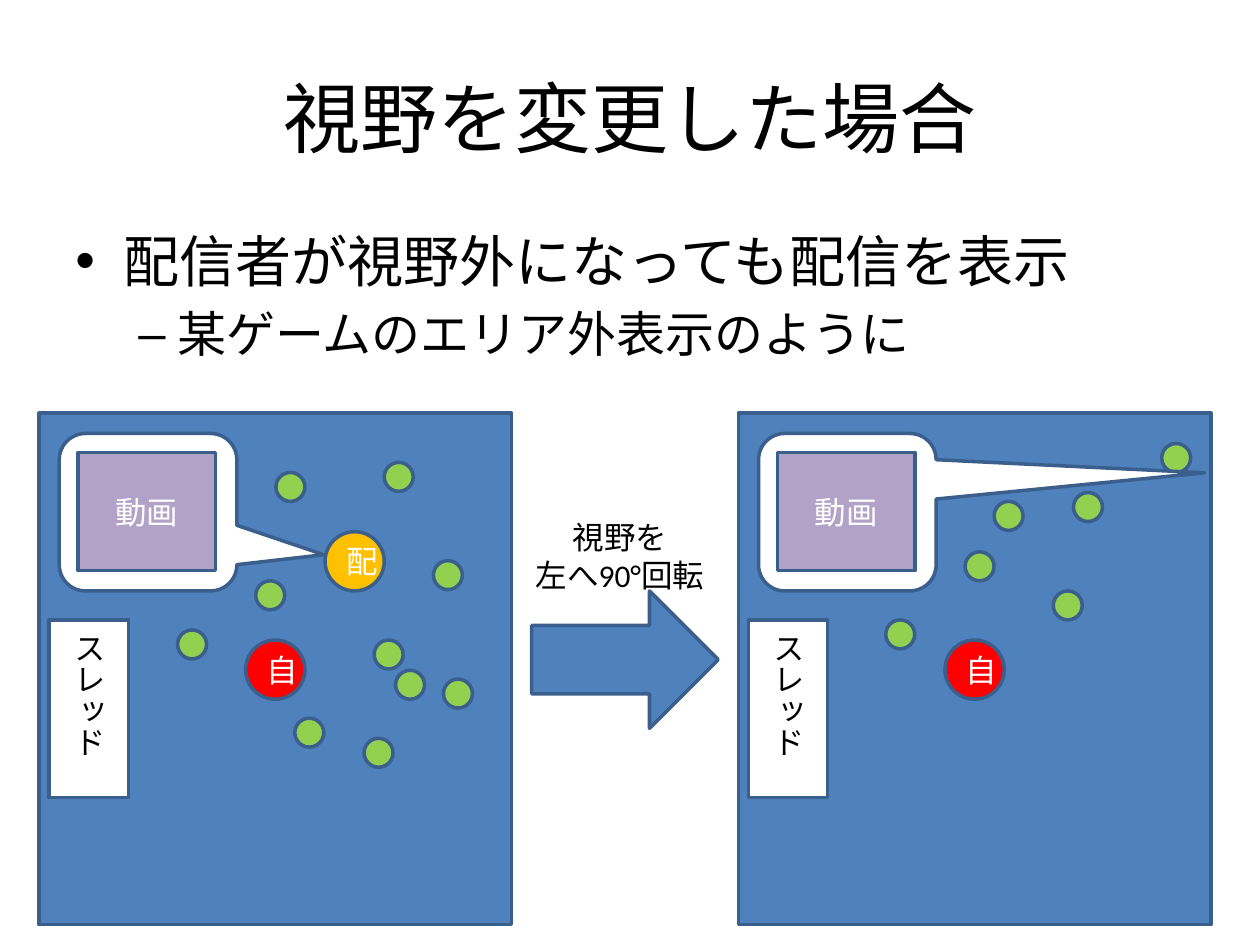
from dataclasses import dataclass

from lxml import etree
from pptx import Presentation
from pptx.dml.color import RGBColor
from pptx.enum.shapes import MSO_SHAPE
from pptx.enum.text import MSO_ANCHOR, PP_ALIGN
from pptx.oxml.ns import qn
from pptx.util import Inches, Pt

RECT, OVAL = MSO_SHAPE.RECTANGLE, MSO_SHAPE.OVAL
BUBBLE, ARROW = MSO_SHAPE.ROUNDED_RECTANGULAR_CALLOUT, MSO_SHAPE.RIGHT_ARROW
CENTER, MIDDLE = PP_ALIGN.CENTER, MSO_ANCHOR.MIDDLE


@dataclass(frozen=True)
class Theme:
    face: str = "Calibri"
    black: str = "000000"
    white: str = "FFFFFF"
    blue: str = "4F81BD"
    edge: str = "3A5F8C"
    red: str = "FF0000"
    amber: str = "FFC000"
    green: str = "92D050"
    purple: str = "B3A2C7"
    title: int = 44
    levels: tuple = (32, 28)
    label: int = 18
    line: int = 2


THEME = Theme()
AVATAR, DOT = 0.47, 0.23

# Dot positions inside each view
LEFT_DOTS = [(2.66, 1.8), (3.21, 2.11), (2.58, 2.58), (1.72, 1.33),
             (2.74, 0.39), (3.13, 1.17), (1.88, 0.47), (2.83, 2.04),
             (2.03, 2.42), (1.1, 1.72)]
RIGHT_DOTS = [(1.17, 1.64), (1.8, 1.1), (2.03, 0.7), (2.66, 0.63),
              (2.5, 1.41), (3.36, 0.24)]


def style(para, size, color):
    font = para.font
    font.name, font.size = THEME.face, Pt(size)
    font.color.rgb = RGBColor.from_string(color)


def place(item, box):
    item.left, item.top, item.width, item.height = map(Inches, box)


def add_shape(slide, kind, box, fill, text="", color=THEME.white):
    shape = slide.shapes.add_shape(kind, *map(Inches, box))
    shape.shadow.inherit = False
    shape.fill.solid()
    shape.fill.fore_color.rgb = RGBColor.from_string(fill)
    shape.line.color.rgb = RGBColor.from_string(THEME.edge)
    shape.line.width = Pt(THEME.line)
    if text:
        frame = shape.text_frame
        frame.word_wrap = True
        frame.vertical_anchor = MIDDLE
        para = frame.paragraphs[0]
        para.text, para.alignment = text, CENTER
        style(para, THEME.label, color)
    return shape


def add_title(slide, box, text):
    title = slide.shapes.title
    place(title, box)
    title.text_frame.vertical_anchor = MIDDLE
    para = title.text_frame.paragraphs[0]
    para.text, para.alignment = text, CENTER
    style(para, THEME.title, THEME.black)


def add_list(slide, box, items):
    frame = slide.shapes.add_textbox(*map(Inches, box)).text_frame
    frame.word_wrap = True
    marks = [("•", 0.38, -0.38), ("–", 0.81, -0.31)]
    for i, (level, text) in enumerate(items):
        para = frame.add_paragraph() if i else frame.paragraphs[0]
        para.text, para.level = text, level
        mark, left, hang = marks[level]
        size = THEME.levels[level]
        props = para._p.get_or_add_pPr()
        props.set("marL", str(Inches(left)))
        props.set("indent", str(Inches(hang)))
        etree.SubElement(props, qn("a:buFont")).set("typeface", "Arial")
        etree.SubElement(props, qn("a:buChar")).set("char", mark)
        if i:
            para.space_before = Pt(size * 0.2)
        style(para, size, THEME.black)


def add_view(slide, box, dots, tip, host=None):
    left, top = box[:2]

    def spot(x, y, w, h):
        return left + x, top + y, w, h

    add_shape(slide, RECT, box, THEME.blue)
    # Viewer and other users
    add_shape(slide, OVAL, spot(1.64, 1.8, AVATAR, AVATAR), THEME.red, "自")
    for x, y in dots:
        add_shape(slide, OVAL, spot(x, y, DOT, DOT), THEME.green)
    # Thread panel with vertical text
    thread = add_shape(slide, RECT, spot(0.08, 1.64, 0.63, 1.41),
                       THEME.white, "スレッド", THEME.black)
    thread.text_frame._txBody.bodyPr.set("vert", "eaVert")
    # Video bubble pointing at the streamer
    bubble = add_shape(slide, BUBBLE, spot(0.16, 0.16, 1.41, 1.25), THEME.white)
    bubble.adjustments[0], bubble.adjustments[1] = tip
    add_shape(slide, RECT, spot(0.31, 0.31, 1.09, 0.94), THEME.purple, "動画")
    if host:
        add_shape(slide, OVAL, spot(*host, AVATAR, AVATAR), THEME.amber, "配")


def add_turn(slide, box, lines):
    left, top, width, _ = box
    add_shape(slide, ARROW, (left + 0.16, top + 0.63, 1.48, 1.09), THEME.blue)
    label = slide.shapes.add_textbox(*map(Inches, (left, top, width, 0.71)))
    frame = label.text_frame
    frame.word_wrap = False
    frame.text = "\n".join(lines)
    for para in frame.paragraphs:
        para.alignment = CENTER
        style(para, THEME.label, THEME.black)


def main():
    deck = Presentation()
    deck.slide_width, deck.slide_height = Inches(10), Inches(7.5)
    slide = deck.slides.add_slide(deck.slide_layouts.get_by_name("Title Only"))

    add_title(slide, (0.5, 0.3, 9, 1.25), "視野を変更した場合")
    add_list(slide, (0.5, 1.75, 9, 1.4), [
        (0, "配信者が視野外になっても配信を表示"),
        (1, "某ゲームのエリア外表示のように"),
    ])
    # Views before and after the turn
    add_view(slide, (0.31, 3.28, 3.75, 4.06), LEFT_DOTS, (0.99, 0.27),
             host=(2.27, 0.94))
    add_view(slide, (5.86, 3.28, 3.75, 4.06), RIGHT_DOTS, (2.01, -0.25))
    add_turn(slide, (4.06, 4.06, 1.72, 1.72), ["視野を", "左へ90°回転"])

    deck.save("out.pptx")


if __name__ == "__main__":
    main()
